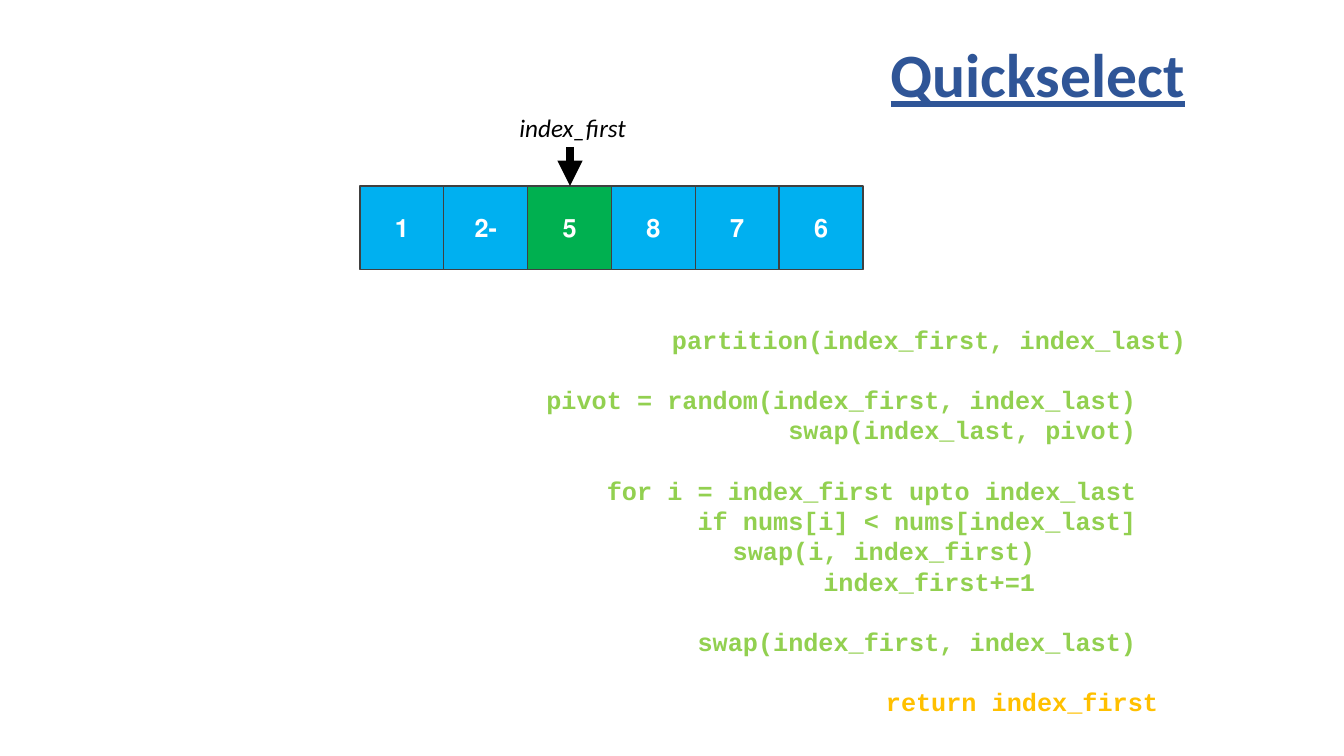
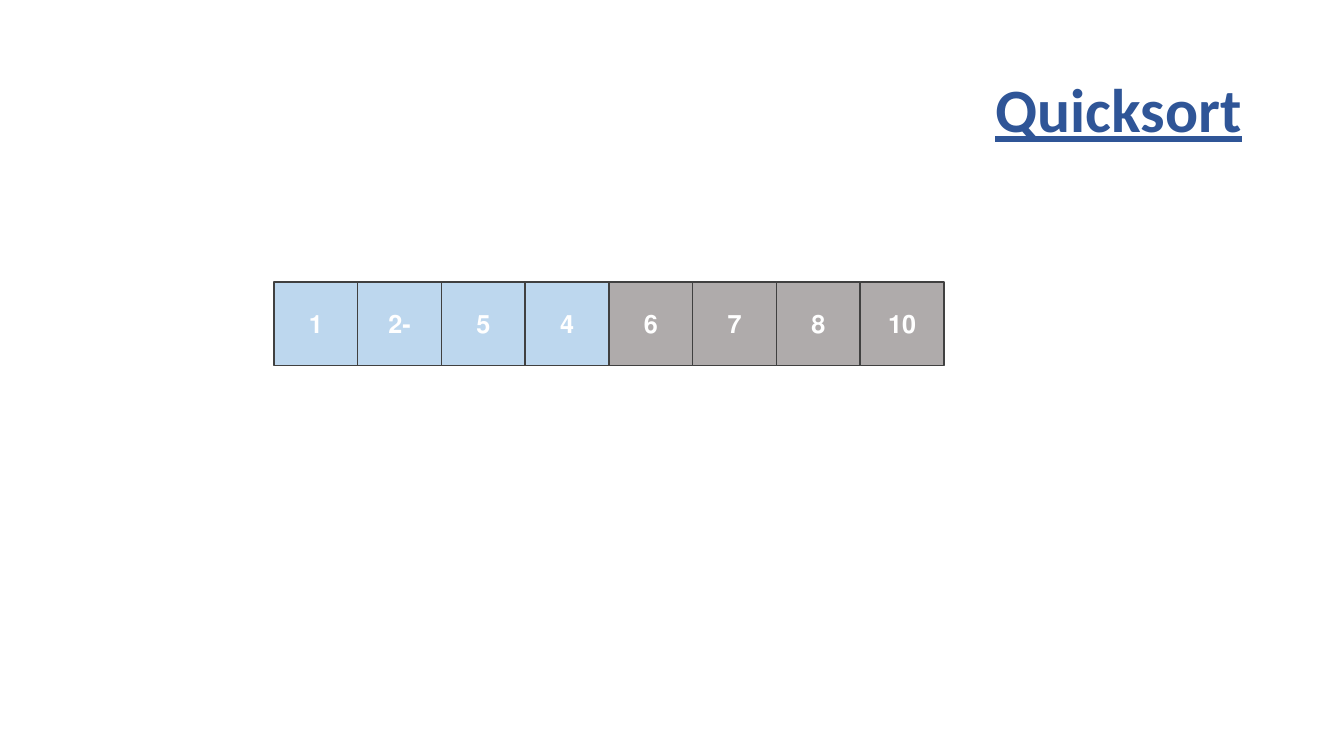
from dataclasses import dataclass

from pptx import Presentation
from pptx.dml.color import RGBColor
from pptx.enum.shapes import MSO_CONNECTOR, MSO_SHAPE
from pptx.enum.text import MSO_ANCHOR, PP_ALIGN
from pptx.oxml.ns import qn
from pptx.util import Emu, Pt
from lxml.etree import SubElement

SCALE = 914400 / 100.8  # EMU per pixel
SLIDE_SIZE = (1344, 756)
TITLE_ONLY = 5


@dataclass(frozen=True)
class Theme:
    heading: str = "2F5597"
    cell_text: str = "FFFFFF"
    cell_edge: str = "404040"
    ink: str = "000000"
    active: str = "00B0F0"
    pivot: str = "00B050"
    lower: str = "BDD7EE"
    upper: str = "AFABAB"
    code: str = "92D050"
    result: str = "FFC000"
    sans: str = "Calibri"
    mono: str = "Courier New"
    title_size: int = 44
    text_size: int = 18
    code_pitch: float = 21.6
    edge_width: int = 1
    pointer_width: int = 6


THEME = Theme()
TITLE_FONT = dict(name=THEME.sans, size=Pt(THEME.title_size), bold=True, underline=True)
CELL_FONT = dict(name=THEME.sans, size=Pt(THEME.text_size), bold=True)
LABEL_FONT = dict(name=THEME.sans, size=Pt(THEME.text_size), italic=True)
CODE_FONT = dict(name=THEME.mono, size=Pt(THEME.text_size), bold=True)

# Pseudocode: text, indent from the right in pixels, gap above, colour
PARTITION_CODE = [
    ("partition(index_first, index_last)", 0, False, THEME.code),
    ("pivot = random(index_first, index_last)", 50, True, THEME.code),
    ("swap(index_last, pivot)", 50, False, THEME.code),
    ("for i = index_first upto index_last", 50, True, THEME.code),
    ("if nums[i] < nums[index_last]", 50, False, THEME.code),
    ("swap(i, index_first)", 151, False, THEME.code),
    ("index_first+=1", 151, False, THEME.code),
    ("swap(index_first, index_last)", 50, True, THEME.code),
    ("return index_first", 28, True, THEME.result),
]


def px(pixels):
    return Emu(round(pixels * SCALE))


def box(*pixels):
    return [px(length) for length in pixels]


def set_all(target, values):
    for attribute, value in values.items():
        setattr(target, attribute, value)


def write(paragraph, text, font, colour, align=PP_ALIGN.RIGHT, indent=0, **spacing):
    """Fill one right-to-left paragraph."""
    run = paragraph.add_run()
    run.text = text
    set_all(run.font, font)
    run.font.color.rgb = RGBColor.from_string(colour)
    set_all(paragraph, dict(alignment=align, **spacing))
    properties = paragraph._p.get_or_add_pPr()
    properties.set("rtl", "1")
    if indent:
        properties.set("marL", str(px(indent)))


def add_titled_slide(deck, heading, left, top):
    slide = deck.slides.add_slide(deck.slide_layouts[TITLE_ONLY])
    title = slide.shapes.title
    set_all(title, dict(zip(("left", "top", "width", "height"), box(left, top, 1159, 146))))
    title.text_frame.vertical_anchor = MSO_ANCHOR.MIDDLE
    write(title.text_frame.paragraphs[0], heading, TITLE_FONT, THEME.heading, line_spacing=0.9)
    return slide


def add_array(slide, left, top, width, cells):
    """Draw (value, fill) cells as equal squares side by side."""
    side = width / len(cells)
    for index, (value, fill) in enumerate(cells):
        cell = slide.shapes.add_shape(
            MSO_SHAPE.RECTANGLE, *box(left + index * side, top, side, side))
        cell.shadow.inherit = False
        cell.fill.solid()
        cell.fill.fore_color.rgb = RGBColor.from_string(fill)
        cell.line.color.rgb = RGBColor.from_string(THEME.cell_edge)
        cell.line.width = Pt(THEME.edge_width)
        cell.text_frame.vertical_anchor = MSO_ANCHOR.MIDDLE
        write(cell.text_frame.paragraphs[0], value, CELL_FONT, THEME.cell_text, PP_ALIGN.CENTER)


def add_pointer(slide, x, top, bottom):
    pointer = slide.shapes.add_connector(MSO_CONNECTOR.STRAIGHT, *box(x, top, x, bottom))
    pointer.line.color.rgb = RGBColor.from_string(THEME.ink)
    pointer.line.width = Pt(THEME.pointer_width)
    SubElement(pointer.line._get_or_add_ln(), qn("a:tailEnd"), type="triangle")
    SubElement(pointer._element.spPr, qn("a:effectLst"))


def add_label(slide, text, *area):
    label = slide.shapes.add_textbox(*box(*area))
    label.text_frame.word_wrap = False
    write(label.text_frame.paragraphs[0], text, LABEL_FONT, THEME.ink)


def add_code(slide, lines, *area):
    frame = slide.shapes.add_textbox(*box(*area)).text_frame
    frame.word_wrap = True
    pitch = Pt(THEME.code_pitch)
    for number, (text, indent, gap, colour) in enumerate(lines):
        paragraph = frame.add_paragraph() if number else frame.paragraphs[0]
        write(paragraph, text, CODE_FONT, colour, indent=indent,
              line_spacing=pitch, space_before=pitch if gap else Pt(0))


def build_quickselect(deck):
    slide = add_titled_slide(deck, "Quickselect", 36, 5)
    cells = [(value, THEME.pivot if value == "5" else THEME.active)
             for value in ("1", "-2", "5", "8", "7", "6")]
    add_array(slide, 360, 186, 503, cells)
    add_code(slide, PARTITION_CODE, 337, 319, 859, 437)
    add_pointer(slide, 570, 147, 186)
    add_label(slide, "index_first", 504, 107, 132, 40)


def build_quicksort(deck):
    slide = add_titled_slide(deck, "Quicksort", 93, 40)
    cells = [(value, THEME.lower) for value in ("1", "-2", "5", "4")]
    cells += [(value, THEME.upper) for value in ("6", "7", "8", "10")]
    add_array(slide, 274, 282, 670, cells)


def main():
    deck = Presentation()
    deck.slide_width, deck.slide_height = box(*SLIDE_SIZE)
    build_quickselect(deck)
    build_quicksort(deck)
    deck.save("out.pptx")


main()
